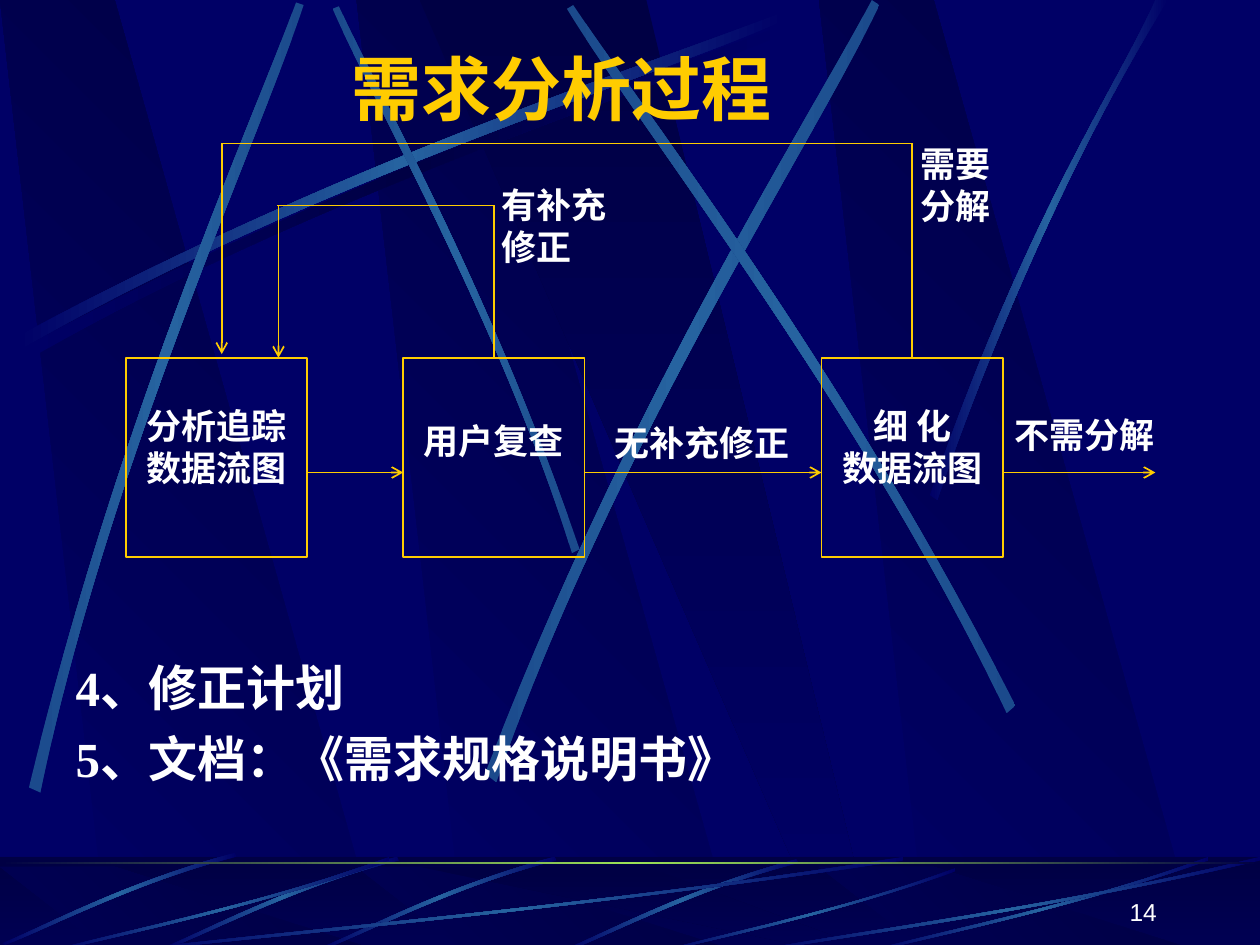
from lxml import etree
from pptx import Presentation
from pptx import util as u
from pptx.dml import color
from pptx.enum import shapes, text
from pptx.oxml import ns

COLUMNS, ROWS = 10, 7.5
NAVY, DARK, STEEL, GREEN, GOLD, WHITE = "000066", "000044", "2663A0", "9CE157", "FFCC00", "FFFFFF"
GLOW = (NAVY, STEEL, NAVY)
BEAM = ("1B4A8C", STEEL, "1B4A8C")
LATIN, CHINESE = "Times New Roman", "Noto Sans CJK SC"
ARC = [(0, 2.57), (2.64, 1.15), (5.04, 0.41), (6.06, 0), (6.09, 0.06), (5.08, 0.51), (2.34, 1.33), (0.03, 2.67)]
BEAMS = [
    [(4.6, 4.36), (3.91, 2.34), (3.02, 0.77), (2.69, 0.05), (2.64, 0.07), (2.95, 0.79), (3.98, 2.58), (4.54, 4.39)],
    [(0.23, 6.25), (0.93, 3.34), (1.97, 1.05), (2.35, 0.02), (2.41, 0.04), (2.07, 1.08), (0.86, 3.68), (0.32, 6.29)],
    [(3.85, 6.14), (4.98, 3.2), (6.38, 1.02), (6.92, 0), (6.98, 0.04), (6.49, 1.08), (4.86, 3.55), (3.94, 6.21)],
    [(8.06, 5.6), (6.7, 2.93), (5.16, 0.95), (4.55, 0.04), (4.5, 0.07), (5.07, 1.01), (6.85, 3.25), (7.99, 5.66)],
]
FADING_BEAM = [(7.38, 3.93), (8.14, 1.73), (8.88, 0.66), (9.17, 0), (9.27, 0), (8.36, 1.45), (7.69, 3.22), (7.44, 3.97)]
SHORT_SWEEP = [(0.99, 0), (0.51, 0.33), (0.17, 0.81), (0, 0.98), (0.01, 1), (0.17, 0.85), (0.58, 0.3), (1, 0.04)]
LONG_SWEEP = [(1, 0.04), (0.57, 0.57), (0.17, 0.85), (0.01, 1), (0, 0.99), (0.17, 0.81), (0.62, 0.51), (1, 0)]


def rgb(value):
    """Return the colour for a hex string."""
    return color.RGBColor.from_string(value)


def grid(*lengths):
    """Turn grid units, ten columns to the slide width, into lengths."""
    return [u.Inches(length * 10 / COLUMNS) for length in lengths]


def add_xml(parent, tag, **attributes):
    """Append a drawing element to its parent."""
    return etree.SubElement(parent, ns.qn(tag), **attributes)


def paint(shape, colours, angle=0):
    """Fill a shape with evenly spaced gradient colours and no outline."""
    shape.shadow.inherit = False
    shape.line.fill.background()
    fill = shape.fill
    fill.gradient()
    fill.gradient_angle = angle
    stops = shape._element.spPr.find(ns.qn("a:gradFill")).find(ns.qn("a:gsLst"))
    for stop in list(stops):
        stops.remove(stop)
    for index, value in enumerate(colours):
        position = str(100000 * index // (len(colours) - 1))
        add_xml(add_xml(stops, "a:gs", pos=position), "a:srgbClr", val=value)


def outline(slide, box, points, colours, angle=0):
    """Draw a closed outline whose points are shares of its box."""
    left, top, width, height = box
    places = [grid(left + x * width, top + y * height) for x, y in points]
    builder = slide.shapes.build_freeform(*places[0])
    builder.add_line_segments(places[1:])
    shape = builder.convert_to_shape()
    paint(shape, colours, angle)
    return shape


def ribbon(slide, box, points, colours=GLOW):
    """Draw a band between two curved edges, each given by four points."""
    shape = outline(slide, box, points, colours)
    segments = list(shape._element.iter(ns.qn("a:lnTo")))
    for edge in (segments[:3], segments[4:7]):
        bend = etree.Element(ns.qn("a:cubicBezTo"))
        edge[0].addprevious(bend)
        for segment in edge:
            bend.append(segment[0])
            segment.getparent().remove(segment)


def rectangle(slide, box):
    """Add a rectangle without shadow."""
    shape = slide.shapes.add_shape(shapes.MSO_SHAPE.RECTANGLE, *grid(*box))
    shape.shadow.inherit = False
    return shape


def panels(slide, box):
    """Draw the four slanted panels across a box."""
    left, top, _, height = box
    for offset in (2.83, 0, 6.5):
        slant = [(0.86, 1), (3.02, 1), (0.91, 0), (0, 0)]
        outline(slide, (left + offset, top, 1, height), slant, (NAVY, DARK), 45)
    wedge = [(0, 0), (3.25, 1), (3.61, 1), (1.8, 0)]
    outline(slide, (left + 3.33, top, 1, height), wedge, (DARK, NAVY), 270)


def backdrop(slide, box):
    """Draw the panels and the light beams of the main area."""
    left, top, _, _ = box
    panels(slide, box)
    ribbon(slide, (left + 0.2, top + 0.18, 1, 1), ARC, (NAVY, DARK, NAVY))
    ribbon(slide, (left + 0.14, top + 0.1, 1, 1), ARC)
    for points in BEAMS:
        ribbon(slide, (left, top, 1, 1), points, BEAM)
    ribbon(slide, (left, top, 1, 1), FADING_BEAM)


def footer_band(slide, box):
    """Draw the band at the foot with its sweeps and bright rule."""
    left, top, width, height = box
    paint(rectangle(slide, box), (DARK, NAVY), 270)
    panels(slide, (left, top + 0.08, width, height - 0.08))
    veil = rectangle(slide, box)
    veil.line.fill.background()
    veil.fill.solid()
    veil.fill.fore_color.rgb = rgb(DARK)
    add_xml(next(veil._element.spPr.iter(ns.qn("a:srgbClr"))), "a:alpha", val="50000")
    for offset, shift in ((4.48, 0.02), (2.56, 0), (1.31, 0), (0.02, -0.03)):
        ribbon(slide, (left + offset, top + shift, 1.86, 0.73), SHORT_SWEEP)
    for offset, span, drop in ((1, 6.17, 0), (0.42, 2.67, 0), (5.27, 2.31, 0.09), (6.92, 2.67, 0), (6, 4, 0)):
        ribbon(slide, (left + offset, top + drop, span, height - drop), LONG_SWEEP)
    paint(rectangle(slide, (left, top + 0.04, width, 0.02)), (DARK, GREEN, DARK))


def write(shape, lines, size, align, colour=WHITE, bold=True, font=LATIN, insets=(0.1, 0.05, 0.1, 0.05)):
    """Set the lines of a shape and format their runs."""
    frame = shape.text_frame
    frame.word_wrap = True
    frame.auto_size = text.MSO_AUTO_SIZE.NONE
    frame.margin_left, frame.margin_top, frame.margin_right, frame.margin_bottom = grid(*insets)
    frame.text = "\n".join(lines)
    for paragraph in frame.paragraphs:
        paragraph.alignment = align
        for run in paragraph.runs:
            run.font.name, run.font.size, run.font.bold = font, u.Pt(size), bold
            run.font.color.rgb = rgb(colour)
            add_xml(run._r.get_or_add_rPr(), "a:ea", typeface=CHINESE)


def label(slide, box, lines, size=20, align=text.PP_ALIGN.JUSTIFY, **style):
    """Add a text box."""
    shape = slide.shapes.add_textbox(*grid(*box))
    write(shape, lines, size, align, **style)
    return shape


def stage(slide, box, lines, top_inset=0.37, font=LATIN):
    """Add one outlined stage of the process."""
    shape = rectangle(slide, box)
    shape.fill.background()
    shape.line.color.rgb = rgb(GOLD)
    shape.line.width = u.Pt(1)
    shape.text_frame.vertical_anchor = text.MSO_ANCHOR.TOP
    write(shape, lines, 20, text.PP_ALIGN.CENTER, font=font, insets=(0.04, top_inset, 0.04, 0.04))
    return shape


def link(slide, start, end, arrow=True):
    """Draw a straight line, with an arrowhead if asked."""
    line = slide.shapes.add_connector(shapes.MSO_CONNECTOR.STRAIGHT, *grid(*start, *end))
    line.line.color.rgb = rgb(GOLD)
    line.line.width = u.Pt(1)
    if arrow:
        add_xml(line.line._get_or_add_ln(), "a:tailEnd", type="arrow")
    add_xml(line._element.spPr, "a:effectLst")
    return line


def process(slide, box):
    """Draw the stages, their links and the two feedback loops."""
    left, top, width, height = box
    stage_top, flow = top + 1.76, top + 2.67
    starts = [left, left + 2.2, left + 5.52]
    captions = [(["分析追踪", "数据流图"], 0.37, LATIN), (["用户复查"], 0.49, LATIN), (["细 化", "数据流图"], 0.37, CHINESE)]
    stages = [stage(slide, (x, stage_top, 1.44, height - 1.76), *caption) for x, caption in zip(starts, captions)]
    for x, following in zip(starts, starts[1:] + [left + width]):
        link(slide, (x + 1.44, flow), (following, flow))
    for source, target, level, tip in ((1, 1.21, 0.55, 1.76), (2, 0.76, 0.06, 1.73)):
        right, bend = starts[source] + 0.72, top + level
        link(slide, (right, stage_top), (right, bend), False).begin_connect(stages[source], 0)
        link(slide, (right + 0.01, bend), (left + target - 0.01, bend), False)
        link(slide, (left + target, bend), (left + target, top + tip))
    label(slide, (left + 6.95, top + 2.15, 1.44, 0.67), ["不需分解"])
    label(slide, (left + 2.88, top + 0.33, 1.2, 1.33), ["有补充", "修正"])
    label(slide, (left + 3.78, top + 2.22, 1.83, 0.67), ["无补充修正"])
    label(slide, (left + 6.21, top, 0.96, 1.33), ["需要", "分解"])


def placeholder(slide, shape, box, lines, size, align, colour):
    """Move a placeholder to its box, in front of the backdrop, and fill it."""
    slide.shapes._spTree.append(shape._element)
    shape.left, shape.top, shape.width, shape.height = grid(*box)
    write(shape, lines, size, align, colour)


def list_body(slide, box, lines):
    """Fill the body with numbered lines on a hanging indent."""
    body = slide.placeholders[1]
    placeholder(slide, body, box, lines, 28, text.PP_ALIGN.LEFT, WHITE)
    for index, paragraph in enumerate(body.text_frame.paragraphs):
        paragraph.space_before = u.Pt(7 if index else 0)
        properties = paragraph._p.get_or_add_pPr()
        properties.set("marL", str(u.Inches(0.38)))
        properties.set("indent", str(-u.Inches(0.38)))
        add_xml(properties, "a:buNone")


def main():
    """Build the slide and save it."""
    presentation = Presentation()
    presentation.slide_width, presentation.slide_height = grid(COLUMNS, ROWS)
    slide = presentation.slides.add_slide(presentation.slide_layouts[1])
    slide.background.fill.solid()
    slide.background.fill.fore_color.rgb = rgb(NAVY)
    backdrop(slide, (0, 0, COLUMNS, ROWS))
    footer_band(slide, (0, 6.8, COLUMNS, 0.75))
    number = label(slide, (7.2, 6.9, 2.08, 0.5), ["14"], 14, text.PP_ALIGN.RIGHT, bold=False, font="Arial")
    number.text_frame.vertical_anchor = text.MSO_ANCHOR.BOTTOM
    placeholder(slide, slide.shapes.title, (2.24, 0.31, 4.43, 0.77), ["需求分析过程"], 40, text.PP_ALIGN.CENTER, GOLD)
    list_body(slide, (0.5, 5.17, 8.5, 1.17), ["4、修正计划", "5、文档：《需求规格说明书》"])
    process(slide, (1, 1.08, 8.17, 3.34))
    presentation.save("out.pptx")


if __name__ == "__main__":
    main()
